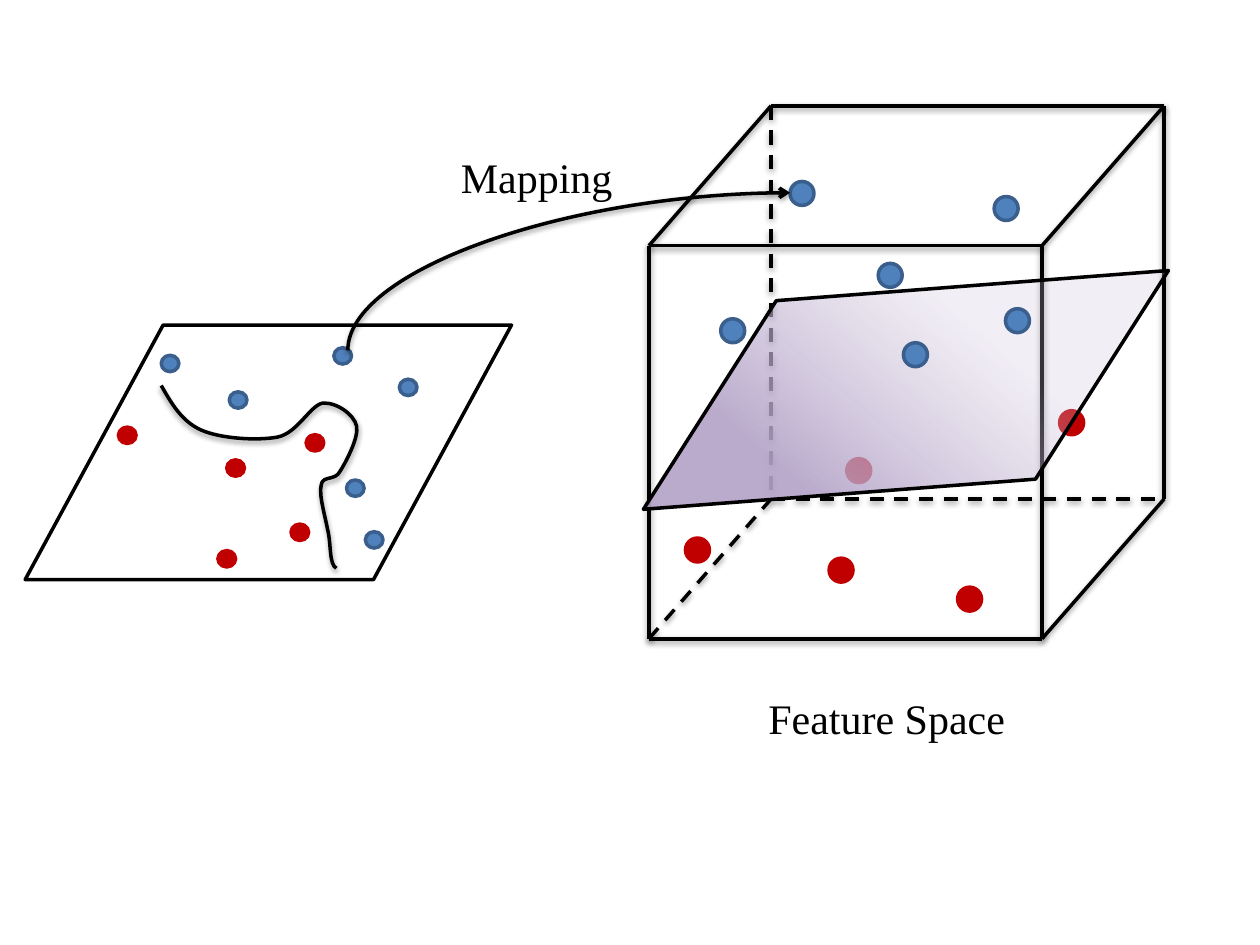
from lxml.etree import SubElement
from pptx import Presentation
from pptx.dml.color import RGBColor
from pptx.enum.dml import MSO_LINE
from pptx.enum.shapes import MSO_CONNECTOR, MSO_SHAPE
from pptx.enum.text import MSO_AUTO_SIZE
from pptx.oxml.ns import qn
from pptx.util import Cm, Pt

BLACK = RGBColor(0x00, 0x00, 0x00)
BLUE = RGBColor(0x4F, 0x81, 0xBD)
BLUE_EDGE = RGBColor(0x3A, 0x5F, 0x8C)
RED = RGBColor(0xC0, 0x00, 0x00)
PURPLE = RGBColor(0xB3, 0xA2, 0xC7)
PALE_PURPLE = RGBColor(0xCC, 0xC1, 0xDA)

# Content: all positions in inches, boxes as left, top, width, height
LABELS = [("Feature Space", (6, 5.45, 2.41, 0.5)), ("Mapping", (3.56, 1.15, 1.56, 0.5))]
LABEL_FONT = {"name": "Times New Roman", "size": Pt(24)}

INPUT_SHEET = (0.2, 2.58, 3.86, 2.02)
INPUT_DOT = (0.14, 0.13)
INPUT_BLUE = [(1.82, 3.11), (2.75, 3.81), (2.9, 4.22), (2.65, 2.76), (1.28, 2.82), (3.17, 3.01)]
INPUT_RED = [(2.43, 3.45), (0.94, 3.39), (1.73, 4.37), (2.31, 4.16), (1.8, 3.65)]
# Start point, then two control points and an end point per curve
BOUNDARY = [
    (1.28, 3.06),
    (1.36, 3.2), (1.44, 3.34), (1.59, 3.41),
    (1.74, 3.48), (2.03, 3.5), (2.2, 3.47),
    (2.36, 3.44), (2.46, 3.22), (2.56, 3.2),
    (2.67, 3.19), (2.81, 3.29), (2.83, 3.38),
    (2.85, 3.47), (2.75, 3.66), (2.7, 3.74),
    (2.66, 3.82), (2.56, 3.77), (2.55, 3.85),
    (2.53, 3.93), (2.58, 4.09), (2.6, 4.2),
    (2.63, 4.31), (2.61, 4.48), (2.67, 4.51),
]

CUBE_LEFT, CUBE_TOP, CUBE_SIDE = 5.15, 1.95, 3.12
CUBE_DEPTH = (0.97, -1.11)
# Corners as (right, bottom, back) flags
HIDDEN_CORNER = (0, 1, 1)
FEATURE_DOT = (0.19, 0.19)
FEATURE_BLUE_BEHIND = [(6.27, 1.44), (6.97, 2.09), (5.72, 2.53), (7.89, 1.56)]
FEATURE_RED = [(5.44, 4.27), (6.72, 3.64), (7.6, 4.66), (6.58, 4.43), (8.41, 3.26)]
FEATURE_BLUE_FRONT = [(7.17, 2.72), (7.98, 2.45)]
PLANE = (5.04, 2.31, 4.3, 1.57)
PLANE_STOPS = [(0.24, PURPLE, 90), (0.67, PALE_PURPLE, 26)]

MAPPING_FROM, MAPPING_TO = (2.76, 2.78), (6.27, 1.53)


def lengths(values):
    return [Cm(value * 2.54) for value in values]


def set_line(shape, color=BLACK):
    shape.line.color.rgb = color
    shape.line.width = Pt(2)


def add_soft_shadow(shape):
    effects = SubElement(shape._element.spPr, qn("a:effectLst"))
    shadow = SubElement(effects, qn("a:outerShdw"), blurRad="40000", dist="20000",
                        dir="5400000", rotWithShape="0")
    color = SubElement(shadow, qn("a:srgbClr"), val=str(BLACK))
    SubElement(color, qn("a:alpha"), val="38000")


def add_sheet(group, box, slant):
    sheet = group.shapes.add_shape(MSO_SHAPE.PARALLELOGRAM, *lengths(box))
    sheet.adjustments[0] = slant
    sheet.shadow.inherit = False
    sheet.fill.background()
    set_line(sheet)
    return sheet


def add_dots(group, corners, size, fill, edge):
    for corner in corners:
        dot = group.shapes.add_shape(MSO_SHAPE.OVAL, *lengths(corner + size))
        dot.shadow.inherit = False
        dot.fill.solid()
        dot.fill.fore_color.rgb = fill
        set_line(dot, edge)


def add_boundary(group):
    points = [lengths(point) for point in BOUNDARY]
    builder = group.shapes.build_freeform(*points[0])
    builder.add_line_segments(points[1:], close=False)
    boundary = builder.convert_to_shape()
    # Join each three straight segments into one Bezier curve
    outline = boundary._element.find(".//" + qn("a:path"))
    segments = outline.findall(qn("a:lnTo"))
    for first in range(0, len(segments), 3):
        curve = SubElement(outline, qn("a:cubicBezTo"))
        for segment in segments[first:first + 3]:
            curve.append(segment[0])
            outline.remove(segment)
    boundary.fill.background()
    set_line(boundary)
    add_soft_shadow(boundary)


def cube_point(corner):
    right, bottom, back = corner
    return (CUBE_LEFT + right * CUBE_SIDE + back * CUBE_DEPTH[0],
            CUBE_TOP + bottom * CUBE_SIDE + back * CUBE_DEPTH[1])


def add_cube(group):
    corners = [(r, b, k) for r in (0, 1) for b in (0, 1) for k in (0, 1)]
    for start in corners:
        for axis in range(3):
            if start[axis]:
                continue
            end = start[:axis] + (1,) + start[axis + 1:]
            edge = group.shapes.add_connector(
                MSO_CONNECTOR.STRAIGHT, *lengths(cube_point(start) + cube_point(end)))
            set_line(edge)
            if HIDDEN_CORNER in (start, end):
                edge.line.dash_style = MSO_LINE.DASH
            add_soft_shadow(edge)


def add_plane(group):
    plane = add_sheet(group, PLANE, 0.751)
    plane.rotation = 355.6
    plane.fill.gradient()
    plane.fill.gradient_angle = 45
    for stop, (position, color, opacity) in zip(plane.fill.gradient_stops, PLANE_STOPS):
        stop.position = position
        stop.color.rgb = color
        SubElement(stop._gs[0], qn("a:alpha"), val=str(opacity * 1000))


def add_mapping_arrow(slide):
    (x1, y1), (x2, y2) = MAPPING_FROM, MAPPING_TO
    # A quarter turn swaps width and height about the shared centre
    mid_x, mid_y = (x1 + x2) / 2, (y1 + y2) / 2
    half_w, half_h = (y1 - y2) / 2, (x2 - x1) / 2
    arrow = slide.shapes.add_connector(MSO_CONNECTOR.CURVE, *lengths(
        (mid_x + half_w, mid_y + half_h, mid_x - half_w, mid_y - half_h)))
    properties = arrow._element.spPr
    properties.find(qn("a:xfrm")).set("rot", "5400000")
    properties.find(qn("a:prstGeom")).set("prst", "curvedConnector2")
    set_line(arrow)
    SubElement(arrow.line._get_or_add_ln(), qn("a:tailEnd"), type="arrow")
    add_soft_shadow(arrow)


def add_label(slide, text, box):
    label = slide.shapes.add_textbox(*lengths(box))
    frame = label.text_frame
    frame.word_wrap = True
    frame.auto_size = MSO_AUTO_SIZE.SHAPE_TO_FIT_TEXT
    run = frame.paragraphs[0].add_run()
    run.text = text
    for key, value in LABEL_FONT.items():
        setattr(run.font, key, value)
    run.font.color.rgb = BLACK


def main():
    deck = Presentation()
    deck.slide_width, deck.slide_height = Cm(25.4), Cm(19.05)
    slide = deck.slides.add_slide(deck.slide_layouts[6])

    # Input space with its curved boundary
    input_space = slide.shapes.add_group_shape()
    add_sheet(input_space, INPUT_SHEET, 0.542)
    add_dots(input_space, INPUT_BLUE, INPUT_DOT, BLUE, BLUE_EDGE)
    add_dots(input_space, INPUT_RED, INPUT_DOT, RED, RED)
    add_boundary(input_space)

    # Feature space with its separating plane
    feature_space = slide.shapes.add_group_shape()
    add_cube(feature_space)
    add_dots(feature_space, FEATURE_BLUE_BEHIND, FEATURE_DOT, BLUE, BLUE_EDGE)
    add_dots(feature_space, FEATURE_RED, FEATURE_DOT, RED, RED)
    add_plane(feature_space)
    add_dots(feature_space, FEATURE_BLUE_FRONT, FEATURE_DOT, BLUE, BLUE_EDGE)

    # Mapping between the two spaces
    add_mapping_arrow(slide)
    for text, box in LABELS:
        add_label(slide, text, box)

    deck.save("out.pptx")


if __name__ == "__main__":
    main()
